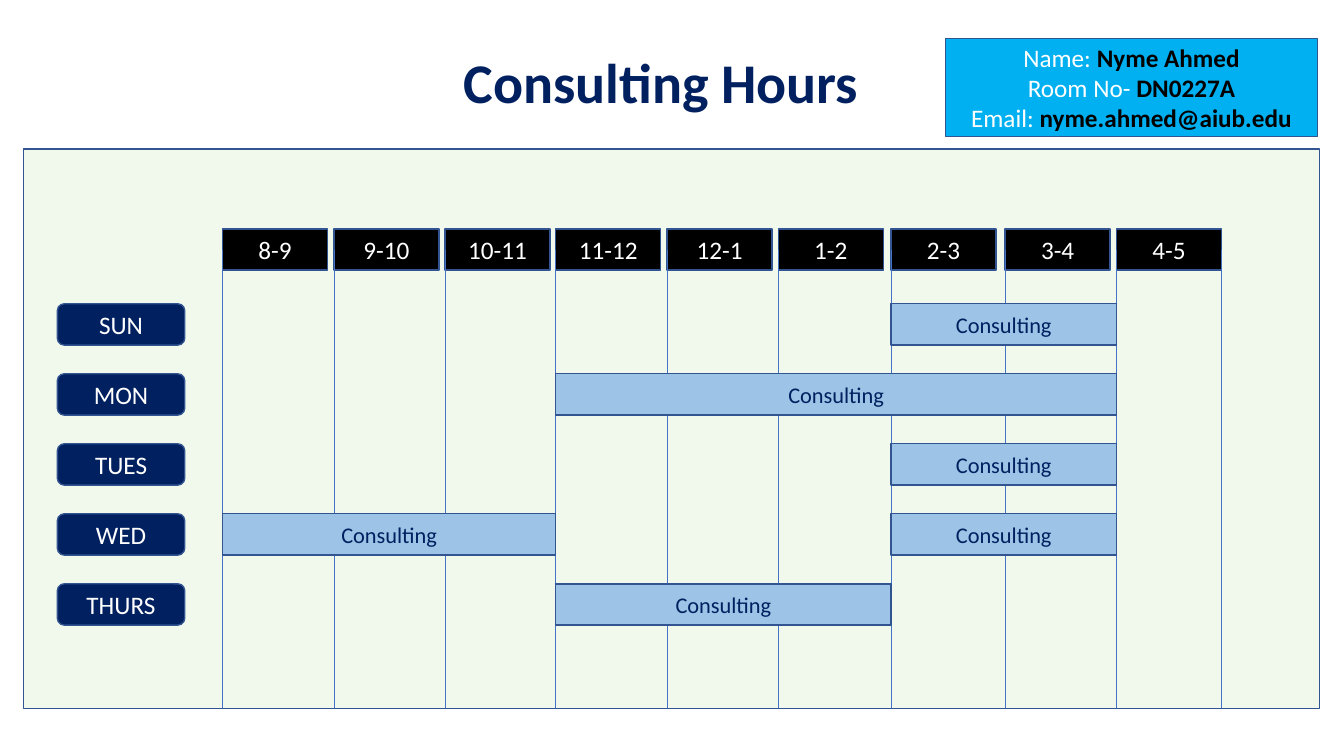
from pptx import Presentation
from pptx.dml.color import RGBColor
from pptx.enum.shapes import MSO_CONNECTOR as CONN, MSO_SHAPE as SHAPE
from pptx.enum.text import MSO_ANCHOR as ANCHOR, PP_ALIGN as ALIGN
from pptx.oxml.ns import qn
from pptx.util import Pt
from lxml.etree import SubElement

NAVY, WHITE, BLACK, BORDER = "002060", "FFFFFF", "000000", "325491"
HOURS = ["8-9", "9-10", "10-11", "11-12", "12-1", "1-2", "2-3", "3-4", "4-5"]
EDGES = [159, 238.5, 318, 397, 476.5, 556, 636.5, 718, 797.5]
SCHEDULE = [
    ("SUN", [(6, 8)]),
    ("MON", [(3, 8)]),
    ("TUES", [(6, 8)]),
    ("WED", [(0, 3), (6, 8)]),
    ("THURS", [(3, 6)]),
]
CONTACT = [
    ("Name: ", "Nyme Ahmed"),
    ("Room No- ", "DN0227A"),
    ("Email:", " nyme.ahmed@aiub.edu"),
]
BOX_H = 29.5


def rgb(color):
    return RGBColor.from_string(color)


def add_text(p, text, size=18, color=WHITE, bold=False):
    p.alignment = ALIGN.CENTER
    r = p.add_run()
    r.text = text
    r.font.name = "Calibri"
    r.font.size = Pt(size)
    r.font.bold = bold
    r.font.color.rgb = rgb(color)


def add_box(s, x, y, w, h, fill, text="", kind=SHAPE.RECTANGLE, **fmt):
    sp = s.shapes.add_shape(kind, Pt(x), Pt(y), Pt(w), Pt(h))
    sp.shadow.inherit = False
    sp.fill.solid()
    sp.fill.fore_color.rgb = rgb(fill)
    sp.line.color.rgb = rgb(BORDER)
    sp.line.width = Pt(1)
    sp.text_frame.vertical_anchor = ANCHOR.MIDDLE
    if text:
        add_text(sp.text_frame.paragraphs[0], text, **fmt)
    return sp


def add_grid_line(s, header, side, x, y, bottom):
    line = s.shapes.add_connector(CONN.STRAIGHT, Pt(x), Pt(y), Pt(x), Pt(bottom))
    line.begin_connect(header, side)
    line.end_x = line.begin_x
    line.line.color.rgb = rgb("4472C4")
    line.line.width = Pt(0.5)
    SubElement(line._element.spPr, qn("a:effectLst"))


def add_title(s, x, y, w, h):
    sp = s.shapes.title
    sp.left, sp.top, sp.width, sp.height = Pt(x), Pt(y), Pt(w), Pt(h)
    tf = sp.text_frame
    tf.word_wrap = True
    tf.vertical_anchor = ANCHOR.MIDDLE
    add_text(tf.paragraphs[0], "Consulting Hours", size=40, color=NAVY, bold=True)


def add_contact(s, x, y, w, h):
    sp = add_box(s, x, y, w, h, "00B0F0", kind=SHAPE.ROUNDED_RECTANGLE)
    sp.adjustments[0] = 0
    tf = sp.text_frame
    for i, (label, value) in enumerate(CONTACT):
        p = tf.add_paragraph() if i else tf.paragraphs[0]
        add_text(p, label)
        add_text(p, value, color=BLACK, bold=True)


def add_timetable(s, x, y, w, h):
    add_box(s, x, y, w, h, "F1F8EC")
    head_y, head_w = y + 57, 75
    headers = [add_box(s, edge, head_y, head_w, BOX_H, BLACK, hour)
               for edge, hour in zip(EDGES, HOURS)]
    mid_y = head_y + BOX_H / 2
    for edge, header in zip(EDGES, headers):
        add_grid_line(s, header, 1, edge, mid_y, y + h)
    add_grid_line(s, headers[-1], 3, EDGES[-1] + head_w, mid_y, y + h)
    for i, (day, slots) in enumerate(SCHEDULE):
        row_y = y + 110.5 + 50 * i
        add_box(s, x + 24, row_y, 91, BOX_H, NAVY, day, kind=SHAPE.ROUNDED_RECTANGLE)
        for first, last in slots:
            add_box(s, EDGES[first], row_y, EDGES[last] - EDGES[first], BOX_H,
                    "9DC3E6", "Consulting", size=16, color=NAVY)


def main():
    prs = Presentation()
    prs.slide_width, prs.slide_height = Pt(960), Pt(540)
    s = prs.slides.add_slide(prs.slide_layouts[5])
    add_timetable(s, 17, 106.5, 925.5, 399.5)
    add_title(s, 301.5, 30.5, 341.5, 55.5)
    add_contact(s, 675.5, 27.5, 265.5, 70)
    prs.save("out.pptx")


if __name__ == "__main__":
    main()
